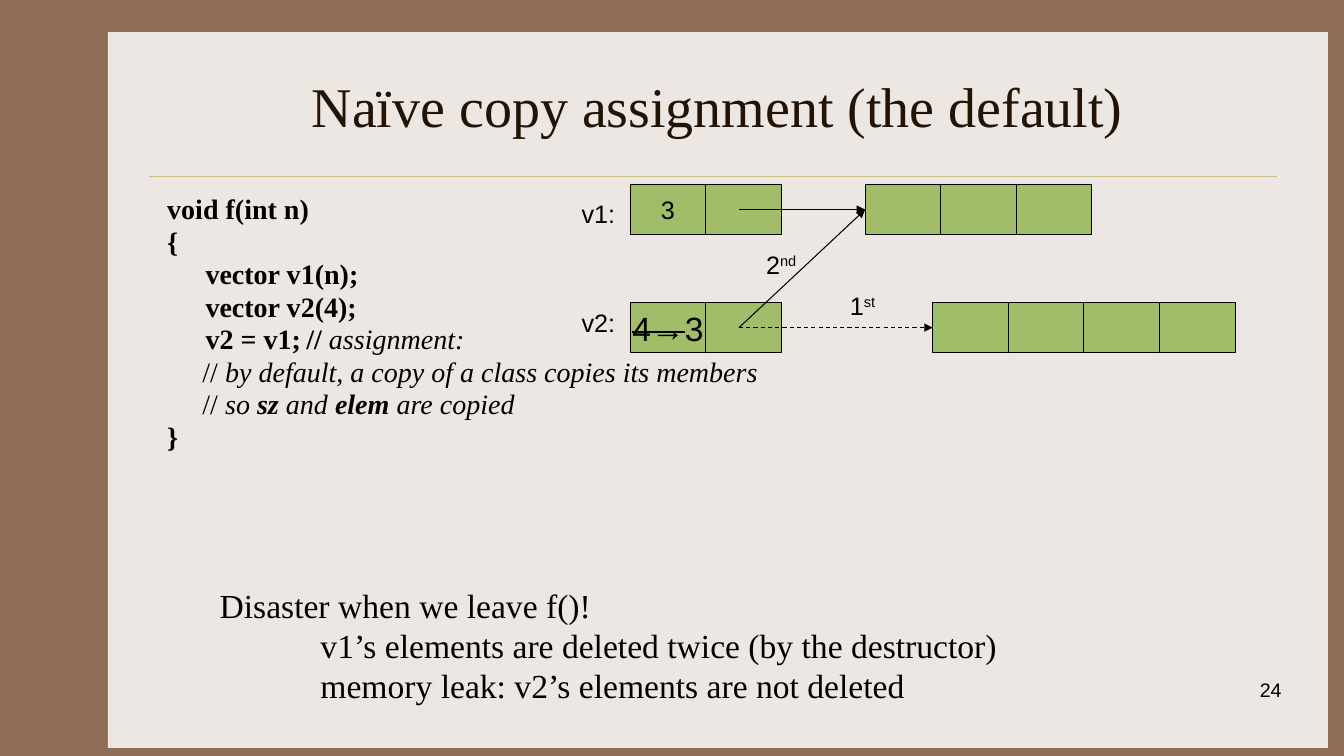
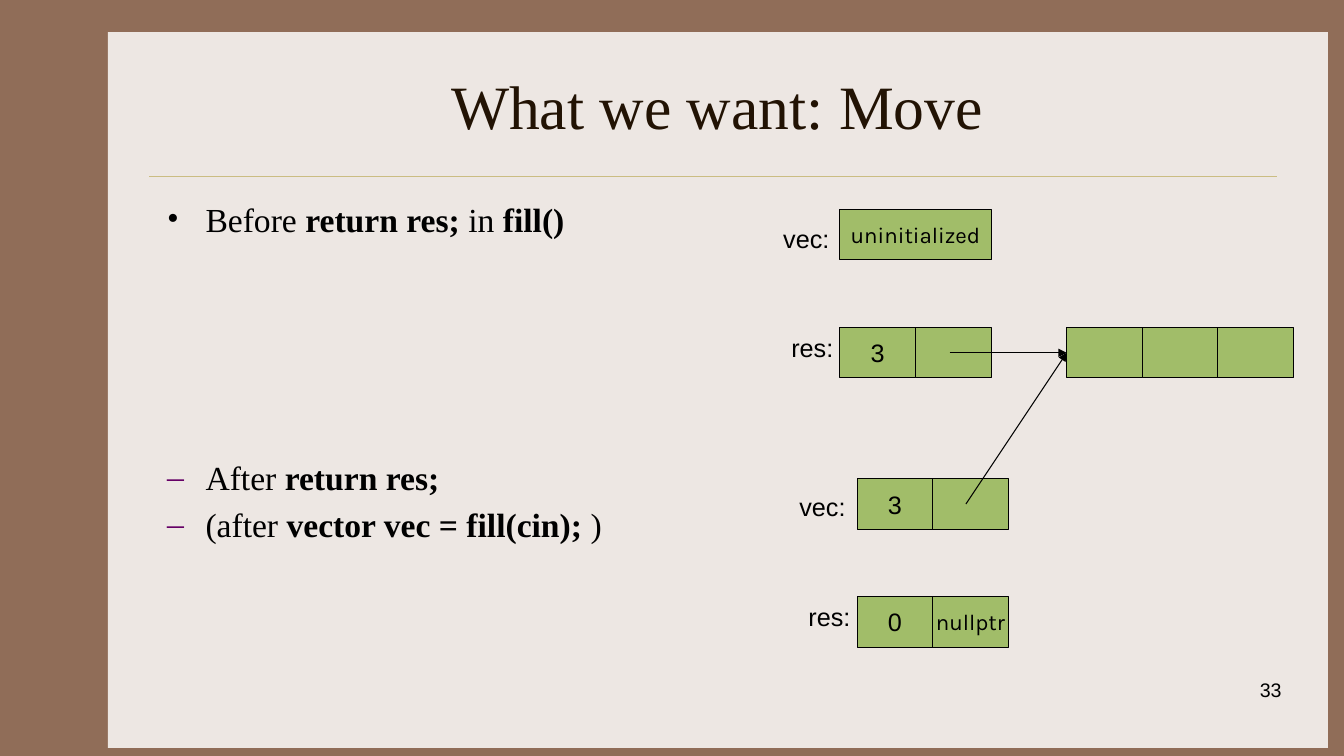
from dataclasses import dataclass

from lxml import etree
from pptx import Presentation
from pptx.dml.color import RGBColor
from pptx.enum import dml, shapes, text
from pptx.oxml.ns import qn
from pptx.util import Inches, Pt


@dataclass(frozen=True)
class Theme:
    frame: RGBColor = RGBColor.from_string("906D58")
    panel: RGBColor = RGBColor.from_string("EDE7E3")
    rule: RGBColor = RGBColor.from_string("CBBD83")
    title: RGBColor = RGBColor.from_string("221304")
    ink: RGBColor = RGBColor.from_string("000000")
    cell: RGBColor = RGBColor.from_string("A1BD69")
    dash_bullet: str = "660066"
    serif: str = "Times New Roman"
    sans: str = "Arial"
    word: str = "Karla"
    code_size: int = 20
    text_size: int = 24
    label_size: int = 18
    word_size: int = 16
    number_size: int = 14


@dataclass
class Line:
    """One paragraph; each run is (text, flags): b bold, i italic, s struck, ^ raised."""
    runs: list
    indent: float = 0
    before: float = 0
    bullet: str = ""
    bullet_color: str = "000000"


THEME = Theme()
CELL_WIDTH, CELL_HEIGHT = 0.75, 0.5
CELL_INSET = 0.02
HANG = 0.38
LEFT, CENTER, RIGHT = text.PP_ALIGN.LEFT, text.PP_ALIGN.CENTER, text.PP_ALIGN.RIGHT


def write(frame, lines, size, font=THEME.sans, align=LEFT, spacing=None, color=THEME.ink):
    for index, line in enumerate(lines):
        paragraph = frame.add_paragraph() if index else frame.paragraphs[0]
        properties = paragraph._p.get_or_add_pPr()
        properties.set("marL", str(Inches(line.indent)))
        properties.set("indent", str(Inches(-HANG if line.bullet else 0)))
        if line.bullet:
            bullet_color = etree.SubElement(properties, qn("a:buClr"))
            etree.SubElement(bullet_color, qn("a:srgbClr"), val=line.bullet_color)
            etree.SubElement(properties, qn("a:buFont"), typeface=font)
            etree.SubElement(properties, qn("a:buChar"), char=line.bullet)
        paragraph.alignment = align
        paragraph.space_before = Pt(line.before)
        if spacing:
            paragraph.line_spacing = spacing
        paragraph.font.name = font
        paragraph.font.size = Pt(size)
        paragraph.font.color.rgb = color
        for words, flags in line.runs:
            run = paragraph.add_run()
            run.text = words
            if "b" in flags:
                run.font.bold = True
            if "i" in flags:
                run.font.italic = True
            if "s" in flags:
                run._r.get_or_add_rPr().set("strike", "sngStrike")
            if "^" in flags:
                run._r.get_or_add_rPr().set("baseline", "30000")


def add_line(slide, start, end, color, width):
    line = slide.shapes.add_connector(
        shapes.MSO_CONNECTOR.STRAIGHT, *(Inches(value) for value in start + end))
    line.line.color.rgb = color
    line.line.width = Pt(width)
    etree.SubElement(line.element.spPr, qn("a:effectLst"))
    return line


code = [
    Line([("void f(int n)", "b")]),
    Line([("{", "b")], before=4),
    Line([("vector v1(n);", "b")], HANG, 4),
    Line([("vector v2(4);", "b")], HANG, 4),
    Line([("v2 = v1;\t// ", "b"), ("assignment:", "i")], HANG, 4),
    Line([("// ", ""), ("by default, a copy of a class copies its members", "i")], 0.35, 4),
    Line([("// ", ""), ("so ", "i"), ("sz", "bi"), (" and ", "i"), ("elem ", "bi"),
          ("are copied", "i")], 0.35, 4),
    Line([("}", "b")], before=4),
]
disaster = [
    Line([("Disaster when we leave f()!", "")]),
    Line([("v1’s elements are deleted twice (by the destructor)", "")], 1),
    Line([("memory leak: v2’s elements are not deleted", "")], 1),
]
move_steps = [
    Line([("Before ", ""), ("return res; ", "b"), ("in ", ""), ("fill()", "b")], HANG, 0, "•"),
    Line([("After ", ""), ("return res;", "b")], HANG, 156, "–", THEME.dash_bullet),
    Line([("(after ", ""), ("vector vec = fill(cin); ", "b"), (")", "")],
         HANG, 4.8, "–", THEME.dash_bullet),
]

# texts: left, top, width, height, lines, size, line spacing
# rows: left, top, cell width, cell contents
# labels: left, top, runs
# arrows: start, end, dashed
pages = [
    dict(
        title="Naïve copy assignment (the default)", title_size=40, number="24",
        texts=[(1.56, 1.92, 11.11, 4.5, code, THEME.code_size, 0.8),
               (2.08, 5.75, 9.25, 1.31, disaster, THEME.text_size, None)],
        rows=[(6.25, 1.83, CELL_WIDTH, [[("3", "")], []]),
              (8.58, 1.83, CELL_WIDTH, [[], [], []]),
              (6.25, 3, CELL_WIDTH, [[("4→", "s"), ("3", "")], []]),
              (9.25, 3, CELL_WIDTH, [[], [], [], []])],
        labels=[(5.67, 1.92, [("v1:", "")]), (5.67, 3, [("v2:", "")]),
                (7.5, 2.42, [("2", ""), ("nd", "^")]),
                (8.33, 2.83, [("1", ""), ("st", "^")])],
        arrows=[((7.33, 2.08), (8.58, 2.08), False),
                ((7.33, 3.25), (8.58, 2.08), False),
                ((7.33, 3.25), (9.25, 3.25), True)],
    ),
    dict(
        title="What we want: Move", title_size=44, number="33",
        texts=[(1.56, 1.92, 11.11, 4.5, move_steps, THEME.text_size, None)],
        rows=[(8.33, 2.08, 2 * CELL_WIDTH, [[("uninitialized", "")]]),
              (8.33, 3.25, CELL_WIDTH, [[("3", "")], []]),
              (10.58, 3.25, CELL_WIDTH, [[], [], []]),
              (8.5, 4.75, CELL_WIDTH, [[("3", "")], []]),
              (8.5, 5.92, CELL_WIDTH, [[("0", "")], [("nullptr", "")]])],
        labels=[(7.67, 2.17, [("vec:", "")]), (7.75, 3.25, [("res:", "")]),
                (7.83, 4.83, [("vec:", "")]), (7.92, 5.92, [("res:", "")])],
        arrows=[((9.42, 3.5), (10.58, 3.5), False),
                ((9.58, 5), (10.58, 3.5), False)],
    ),
]

deck = Presentation()
deck.slide_width, deck.slide_height = Inches(13.33), Inches(7.5)
layout = deck.slide_layouts[5]
layout.background.fill.solid()
layout.background.fill.fore_color.rgb = THEME.frame
slides = [deck.slides.add_slide(layout) for _ in pages]

# The panel and rule are drawn on a slide, then moved to the layout both slides share.
panel = slides[0].shapes.add_shape(
    shapes.MSO_SHAPE.RECTANGLE, Inches(1.07), Inches(0.32), Inches(12.1), Inches(7.1))
panel.shadow.inherit = False
panel.fill.solid()
panel.fill.fore_color.rgb = THEME.panel
panel.line.fill.background()
rule = add_line(slides[0], (1.48, 1.75), (12.67, 1.75), THEME.rule, 0.25)
for position, backdrop in enumerate((panel, rule), start=2):
    layout.shapes.element.insert(position, backdrop.element)

for slide, page in zip(slides, pages):
    title = slide.shapes.title
    title.left, title.top = Inches(1.56), Inches(0.42)
    title.width, title.height = Inches(11.11), Inches(1.25)
    title.text_frame.vertical_anchor = text.MSO_ANCHOR.MIDDLE
    write(title.text_frame, [Line([(page["title"], "")])], page["title_size"],
          THEME.serif, CENTER, color=THEME.title)

    for left, top, width, height, lines, size, spacing in page["texts"]:
        body = slide.shapes.add_textbox(Inches(left), Inches(top), Inches(width), Inches(height))
        body.text_frame.word_wrap = True
        write(body.text_frame, lines, size, THEME.serif, spacing=spacing)

    number = slide.shapes.add_textbox(Inches(10.03), Inches(6.68), Inches(2.78), Inches(0.5))
    number.text_frame.word_wrap = True
    write(number.text_frame, [Line([(page["number"], "")])], THEME.number_size, align=RIGHT)

    for left, top, width, contents in page["rows"]:
        for column, runs in enumerate(contents):
            cell = slide.shapes.add_shape(
                shapes.MSO_SHAPE.RECTANGLE, Inches(left + column * width), Inches(top),
                Inches(width), Inches(CELL_HEIGHT))
            cell.shadow.inherit = False
            cell.fill.solid()
            cell.fill.fore_color.rgb = THEME.cell
            cell.line.color.rgb = THEME.ink
            cell.line.width = Pt(0.75)
            if runs:
                content = cell.text_frame
                content.word_wrap = False
                content.vertical_anchor = text.MSO_ANCHOR.MIDDLE
                content.margin_left = content.margin_right = Inches(CELL_INSET)
                if runs[0][0].isalpha():
                    size, font = THEME.word_size, THEME.word
                else:
                    size = THEME.text_size if len(runs) > 1 else THEME.label_size
                    font = THEME.sans
                write(content, [Line(runs)], size, font, CENTER)

    for left, top, runs in page["labels"]:
        label = slide.shapes.add_textbox(Inches(left), Inches(top), Inches(0.67), Inches(0.4))
        label.text_frame.word_wrap = False
        write(label.text_frame, [Line(runs)], THEME.label_size)

    for start, end, dashed in page["arrows"]:
        arrow = add_line(slide, start, end, THEME.ink, 0.75)
        if dashed:
            arrow.line.dash_style = dml.MSO_LINE.DASH
        etree.SubElement(arrow.line._get_or_add_ln(), qn("a:tailEnd"), type="triangle")

deck.save("out.pptx")
